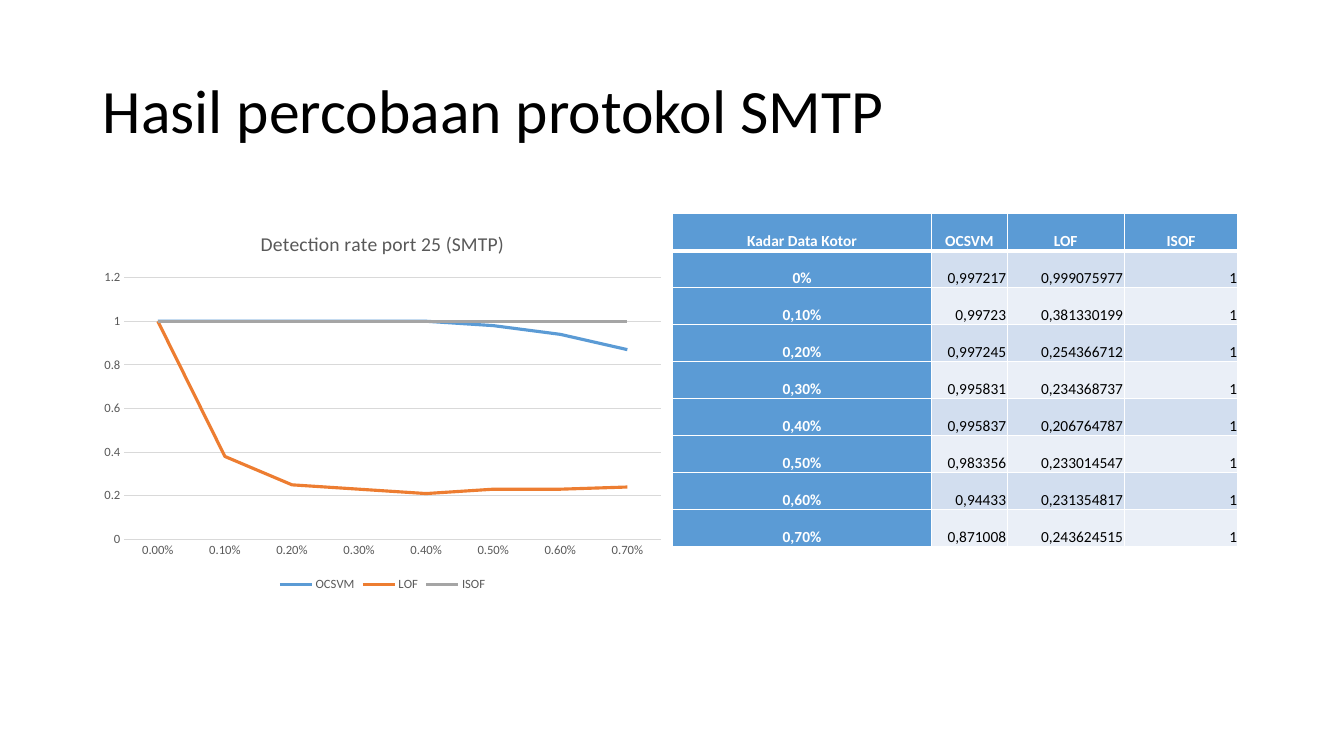
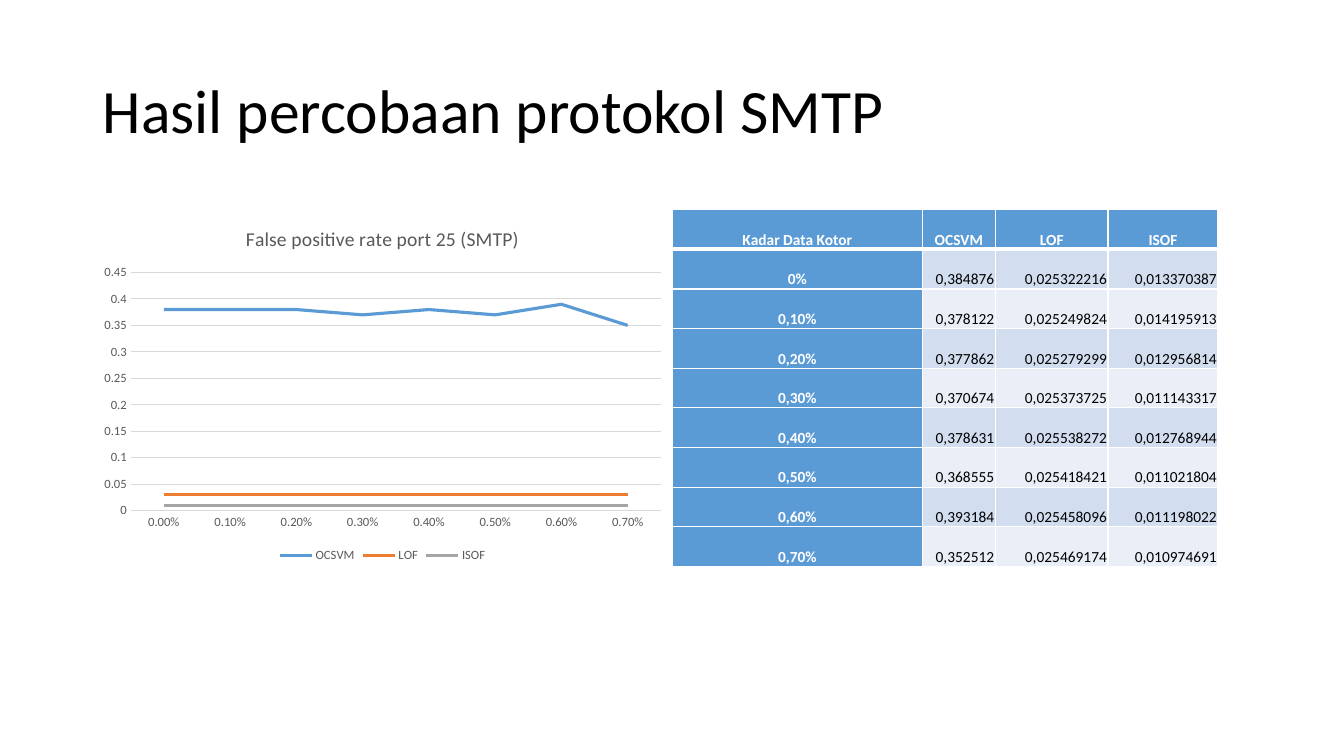
"""Build two slides, each with a line chart and table of SMTP results."""
from dataclasses import dataclass

from lxml.etree import SubElement as Sub
from pptx import Presentation as Deck
from pptx.chart.data import CategoryChartData as Data
from pptx.dml.color import RGBColor as Rgb
from pptx.enum.chart import XL_CHART_TYPE as Kind
from pptx.enum.chart import XL_LEGEND_POSITION as Spot
from pptx.enum.chart import XL_TICK_MARK as Tick
from pptx.enum.text import MSO_ANCHOR as Anchor
from pptx.enum.text import PP_ALIGN as Align
from pptx.oxml.ns import qn
from pptx.slide import Slide
from pptx.table import _Cell as Cell
from pptx.text.text import Font
from pptx.util import Inches, Pt

HUES = {
    "black": "000000", "white": "FFFFFF", "gray": "595959", "grid": "D9D9D9",
    "blue": "5B9BD5", "orange": "ED7D31", "silver": "A5A5A5",
    "band": "D2DEEF", "pale": "EAEFF7",
}
FACE = "Calibri"
TITLE = "Hasil percobaan protokol SMTP"
LINES = {"OCSVM": "blue", "LOF": "orange", "ISOF": "silver"}
HEAD = ("Kadar Data Kotor", *LINES)
RATES = ("0%", "0,10%", "0,20%", "0,30%", "0,40%", "0,50%", "0,60%", "0,70%")
COLS = (2.57, 0.75, 1.16, 1.13)
LEFT, MID, WIDE = 0.92, 6.67, 5.75


@dataclass(frozen=True)
class Result:
    """Hold the chart title, layout and scores of one slide."""

    title: str
    top: float
    chart_high: float
    table_wide: float
    table_high: float
    peak: float
    step: float
    scores: tuple[tuple[str, ...], ...]


RESULTS = (
    Result("Detection rate port 25 (SMTP)", 2.12, 3.79, 5.61, 3.3, 1.2, 0.2, (
        ("0,997217", "0,999075977", "1"),
        ("0,99723", "0,381330199", "1"),
        ("0,997245", "0,254366712", "1"),
        ("0,995831", "0,234368737", "1"),
        ("0,995837", "0,206764787", "1"),
        ("0,983356", "0,233014547", "1"),
        ("0,94433", "0,231354817", "1"),
        ("0,871008", "0,243624515", "1"),
    )),
    Result("False positive rate port 25 (SMTP)", 2.08, 3.54, 5.41, 3.54, 0.45, 0.05, (
        ("0,384876", "0,025322216", "0,013370387"),
        ("0,378122", "0,025249824", "0,014195913"),
        ("0,377862", "0,025279299", "0,012956814"),
        ("0,370674", "0,025373725", "0,011143317"),
        ("0,378631", "0,025538272", "0,012768944"),
        ("0,368555", "0,025418421", "0,011021804"),
        ("0,393184", "0,025458096", "0,011198022"),
        ("0,352512", "0,025469174", "0,010974691"),
    )),
)


def tint(name: str) -> Rgb:
    """Return the named colour."""
    return Rgb.from_string(HUES[name])


def style(font: Font, size: float, hue: str, bold: bool = False) -> None:
    """Set the face, size, colour and weight of a font."""
    font.name, font.size, font.bold = FACE, Pt(size), bold
    font.color.rgb = tint(hue)


def value(score: str) -> float:
    """Return a written score as a number with two decimals."""
    return round(float(score.replace(",", ".")), 2)


def add_title(slide: Slide) -> None:
    """Draw the shared slide title."""
    box = slide.shapes.add_textbox(Inches(LEFT), Inches(0.4), Inches(11.5), Inches(1.45))
    frame = box.text_frame
    frame.word_wrap = True
    frame.vertical_anchor = Anchor.MIDDLE
    frame.text = TITLE
    para = frame.paragraphs[0]
    para.line_spacing = 0.9
    style(para.runs[0].font, 44, "black")


def add_plot(slide: Slide, result: Result) -> None:
    """Draw the line chart of the scores."""
    data = Data(number_format="General")
    data.categories = [step / 1000 for step in range(len(RATES))]
    data.categories.number_format = "0.00%"
    for name, column in zip(LINES, zip(*result.scores)):
        data.add_series(name, [value(score) for score in column])
    chart = slide.shapes.add_chart(
        Kind.LINE, Inches(LEFT), Inches(result.top),
        Inches(WIDE), Inches(result.chart_high), data,
    ).chart
    style(chart.font, 10, "black")
    chart.has_title = True
    frame = chart.chart_title.text_frame
    frame.text = result.title
    style(frame.paragraphs[0].runs[0].font, 14, "gray")
    chart.chart_title.include_in_layout = False
    chart.has_legend = True
    chart.legend.position = Spot.BOTTOM
    chart.legend.include_in_layout = False
    style(chart.legend.font, 9, "gray")

    base, scale = chart.category_axis, chart.value_axis
    for axis, form in ((base, "0.00%"), (scale, "General")):
        axis.major_tick_mark = axis.minor_tick_mark = Tick.NONE
        style(axis.tick_labels.font, 9, "gray")
        axis.tick_labels.number_format = form
        axis.tick_labels.number_format_is_linked = False
    scale.minimum_scale, scale.maximum_scale = 0, result.peak
    scale.major_unit = result.step
    scale.format.line.fill.background()
    for line in (base.format.line, scale.major_gridlines.format.line):
        line.width = Pt(0.75)
        line.color.rgb = tint("grid")
    for series, hue in zip(chart.plots[0].series, LINES.values()):
        series.smooth = False
        series.format.line.width = Pt(2.25)
        series.format.line.color.rgb = tint(hue)


def edge(cell: Cell, row: int) -> None:
    """Give a cell white borders, thick below the header."""
    props = cell._tc.get_or_add_tcPr()
    thick = {0: "lnB", 1: "lnT"}.get(row)
    for side in ("lnL", "lnR", "lnT", "lnB"):
        line = Sub(props, qn(f"a:{side}"), w=str(Pt(3 if side == thick else 1)))
        fill = Sub(line, qn("a:solidFill"))
        Sub(fill, qn("a:srgbClr"), val=HUES["white"])


def fill_cell(cell: Cell, text: str, row: int, col: int) -> None:
    """Write and style one table cell."""
    edge(cell, row)
    label = row == 0 or col == 0
    cell.fill.solid()
    cell.fill.fore_color.rgb = tint("blue" if label else "band" if row % 2 else "pale")
    cell.margin_left = cell.margin_right = cell.margin_top = Inches(0.01)
    cell.margin_bottom = Inches(0)
    cell.vertical_anchor = Anchor.BOTTOM
    cell.text_frame.text = text
    para = cell.text_frame.paragraphs[0]
    para.alignment = Align.CENTER if label else Align.RIGHT
    style(para.runs[0].font, 11, "white" if label else "black", label)


def add_grid(slide: Slide, result: Result) -> None:
    """Draw the table of the scores."""
    rows = [HEAD, *((rate, *line) for rate, line in zip(RATES, result.scores))]
    table = slide.shapes.add_table(
        len(rows), len(HEAD), Inches(MID), Inches(result.top),
        Inches(result.table_wide), Inches(result.table_high),
    ).table
    table.first_row = table.horz_banding = False
    for column, width in zip(table.columns, COLS):
        column.width = Inches(width * result.table_wide / sum(COLS))
    for row, texts in enumerate(rows):
        for col, text in enumerate(texts):
            fill_cell(table.cell(row, col), text, row, col)


def main() -> None:
    """Build and save the deck."""
    deck = Deck()
    deck.slide_width, deck.slide_height = Inches(13.33), Inches(7.5)
    for result in RESULTS:
        slide = deck.slides.add_slide(deck.slide_layouts[6])
        add_title(slide)
        add_plot(slide, result)
        add_grid(slide, result)
    deck.save("out.pptx")


if __name__ == "__main__":
    main()
